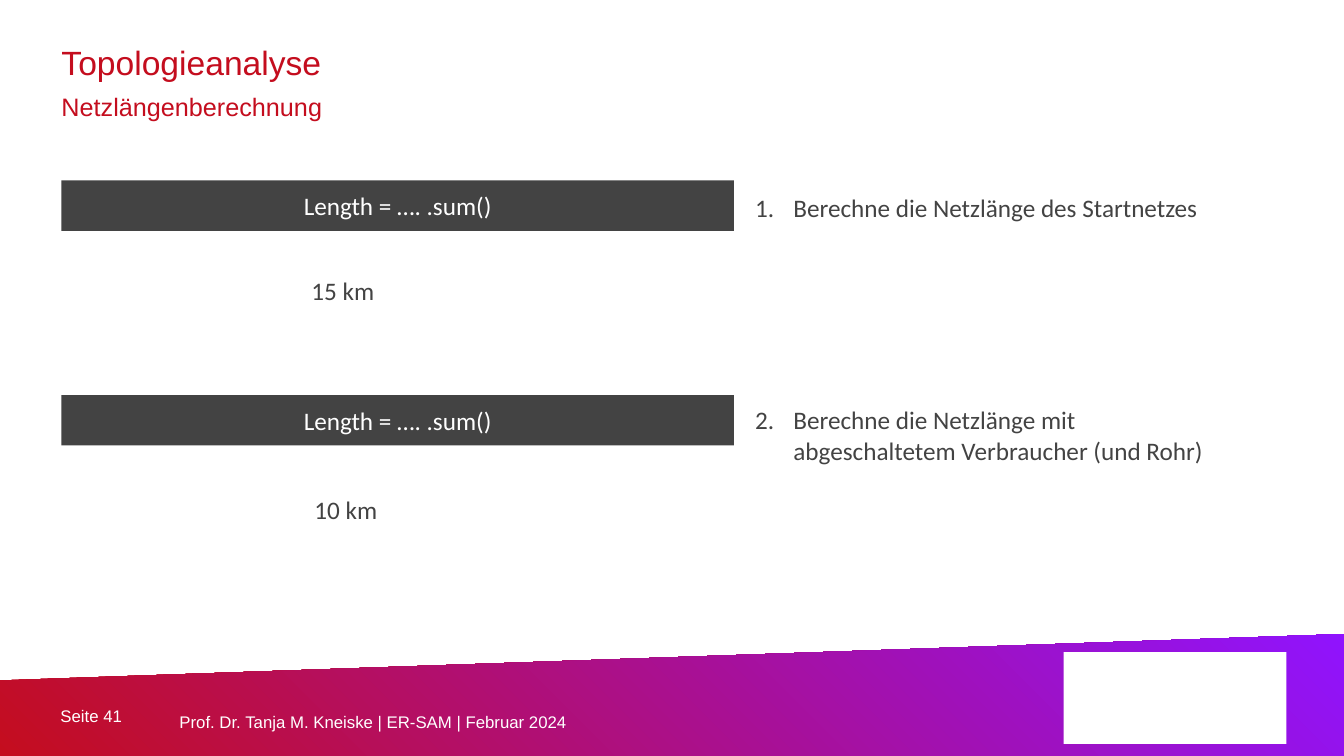
from lxml.etree import SubElement
from pptx import Presentation
from pptx.dml.color import RGBColor
from pptx.enum.shapes import MSO_SHAPE
from pptx.enum.text import MSO_ANCHOR, MSO_AUTO_SIZE, PP_ALIGN
from pptx.oxml.ns import qn
from pptx.util import Inches, Pt

RED, PURPLE, GREY, WHITE = "C40D1E", "9013FE", "434343", "FFFFFF"
LEFT = 0.61
CODE = "Length = …. .sum()"


def rgb(value):
    return RGBColor.from_string(value)


def box(left, top, width, height):
    return [Inches(n) for n in (left, top, width, height)]


def style(paragraph, font, size, color):
    for run in paragraph.runs:
        run.font.name = font
        run.font.size = Pt(size)
        run.font.color.rgb = rgb(color)


def remove_insets(frame):
    frame.margin_left = frame.margin_right = 0
    frame.margin_top = frame.margin_bottom = 0


def add_title(slide, title, subtitle):
    heading = slide.shapes.title
    heading.left, heading.top, heading.width, heading.height = box(LEFT, 0.43, 9.09, 0.78)
    frame = heading.text_frame
    frame.text = f"{title}\n{subtitle}"
    frame.auto_size = MSO_AUTO_SIZE.NONE
    frame.vertical_anchor = MSO_ANCHOR.BOTTOM
    remove_insets(frame)
    for paragraph, size in zip(frame.paragraphs, (24, 18)):
        paragraph.alignment = PP_ALIGN.LEFT
        paragraph.line_spacing = Pt(28)
        paragraph.space_before = Pt(0)
        style(paragraph, "Arial", size, RED)


def add_rectangle(slide, bounds, color):
    rectangle = slide.shapes.add_shape(MSO_SHAPE.RECTANGLE, *box(*bounds))
    rectangle.shadow.inherit = False
    rectangle.fill.solid()
    rectangle.fill.fore_color.rgb = rgb(color)
    rectangle.line.fill.background()
    return rectangle


def add_code_bar(slide, top):
    frame = add_rectangle(slide, (LEFT, top, 6.67, 0.5), GREY).text_frame
    frame.text = CODE
    frame.vertical_anchor = MSO_ANCHOR.MIDDLE
    frame.paragraphs[0].alignment = PP_ALIGN.CENTER
    style(frame.paragraphs[0], "Calibri", 18, WHITE)


def add_text(slide, bounds, text, font, size, color, wrap=True):
    frame = slide.shapes.add_textbox(*box(*bounds)).text_frame
    frame.word_wrap = wrap
    frame.text = text
    for paragraph in frame.paragraphs:
        style(paragraph, font, size, color)
    return frame


def add_steps(slide, steps):
    frame = add_text(slide, (7.39, 1.86, 4.85, 2.83), "\n".join(steps), "Calibri", 18, GREY)
    for index, paragraph in enumerate(frame.paragraphs):
        if index:
            paragraph.space_before = Pt(130)
        properties = paragraph._p.get_or_add_pPr()
        properties.set("marL", str(Inches(0.38)))
        properties.set("indent", str(-Inches(0.38)))
        SubElement(properties, qn("a:buFont"), typeface="+mj-lt")
        SubElement(properties, qn("a:buAutoNum"), type="arabicPeriod")


def add_footer(slide, page, credit):
    corners = [(0, 6.75), (13.33, 6.29), (13.33, 7.5), (0, 7.5)]
    points = [(Inches(x), Inches(y)) for x, y in corners]
    builder = slide.shapes.build_freeform(*points[0])
    builder.add_line_segments(points[1:], close=True)
    band = builder.convert_to_shape()
    band.shadow.inherit = False
    band.line.fill.background()
    band.fill.gradient()
    band.fill.gradient_angle = 45
    for stop, position, color in zip(band.fill.gradient_stops, (0, 1), (RED, PURPLE)):
        stop.position = position
        stop.color.rgb = rgb(color)

    for bounds, text in (((0.6, 7, 1.18, 0.21), page), ((1.78, 6.95, 8.33, 0.29), credit)):
        frame = add_text(slide, bounds, text, "Arial", 12, WHITE)
        frame.vertical_anchor = MSO_ANCHOR.MIDDLE
        remove_insets(frame)
    frame.paragraphs[0].line_spacing = Pt(24)
    add_rectangle(slide, (10.55, 6.47, 2.21, 0.91), WHITE)


def main():
    presentation = Presentation()
    presentation.slide_width = Inches(13.33)
    presentation.slide_height = Inches(7.5)
    slide = presentation.slides.add_slide(presentation.slide_layouts[5])

    add_footer(slide, "Seite 41", "Prof. Dr. Tanja M. Kneiske | ER-SAM | Februar 2024")
    add_title(slide, "Topologieanalyse", "Netzlängenberechnung")
    for top in (1.79, 3.92):
        add_code_bar(slide, top)
    add_steps(slide, [
        "Berechne die Netzlänge des Startnetzes",
        "Berechne die Netzlänge mit abgeschaltetem Verbraucher (und Rohr)",
    ])
    for left, top, length in ((2.99, 2.68, "15 km"), (3.02, 4.86, "10 km")):
        add_text(slide, (left, top, 0.83, 0.4), length, "Calibri", 18, GREY, wrap=False)

    presentation.save("out.pptx")


if __name__ == "__main__":
    main()
